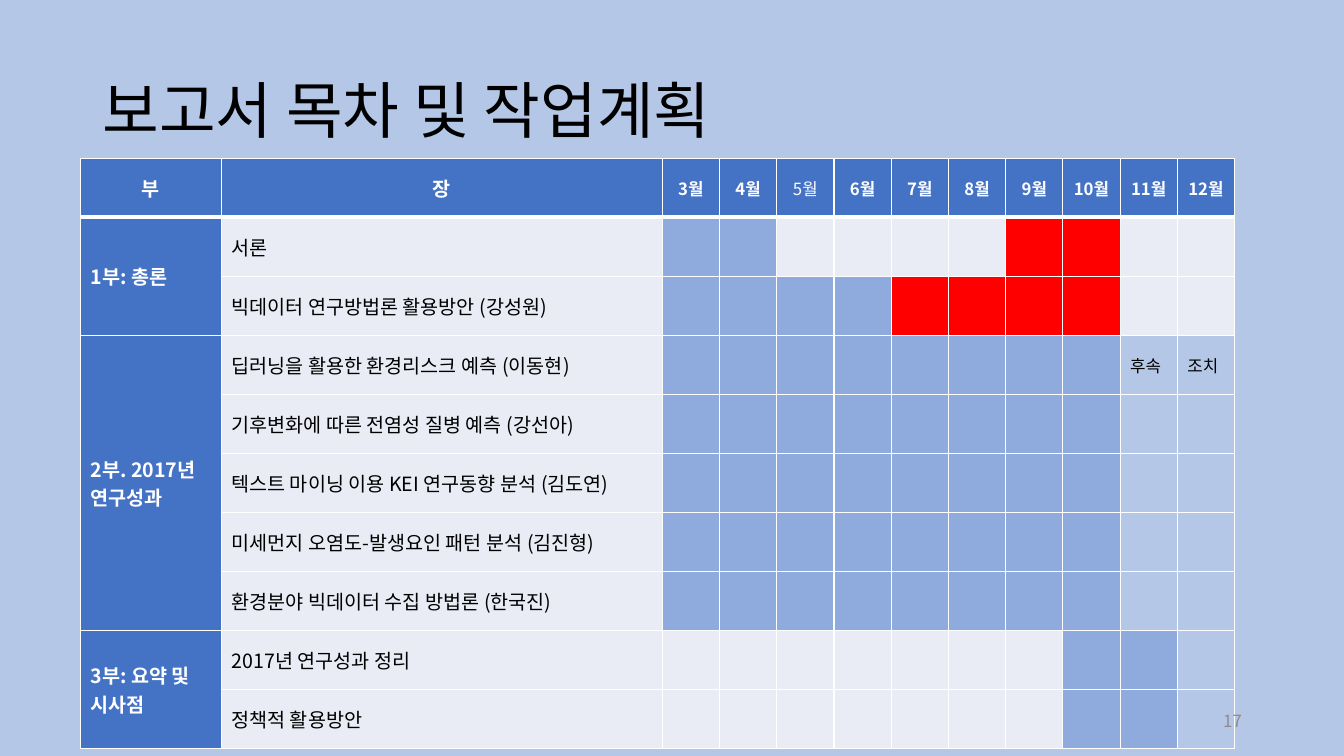
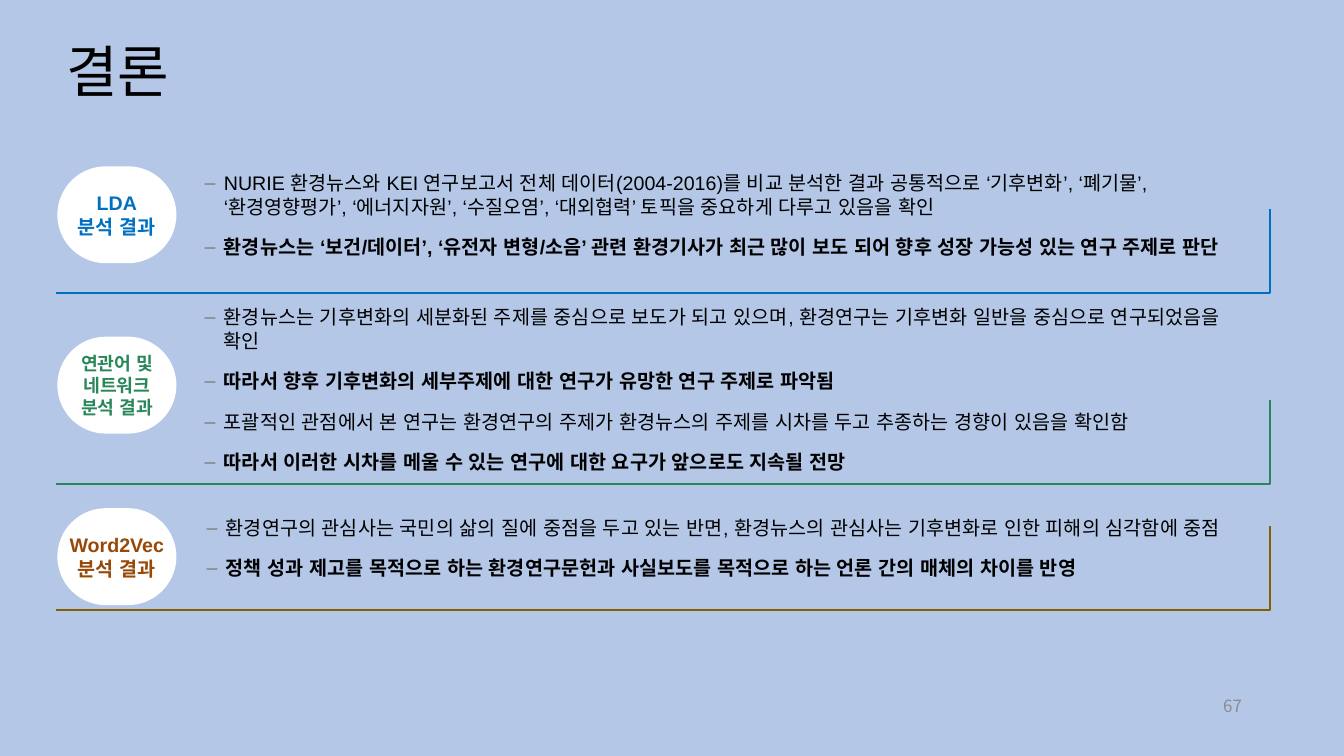
from dataclasses import dataclass

import lxml.etree
import pptx
import pptx.dml.color
import pptx.enum.shapes
import pptx.enum.text
import pptx.oxml.ns
import pptx.util

Pt = pptx.util.Pt
qn = pptx.oxml.ns.qn
ALIGN = pptx.enum.text.PP_ALIGN
ANCHOR = pptx.enum.text.MSO_ANCHOR


@dataclass(frozen=True)
class Theme:
    korean: str = "Noto Sans CJK KR"
    latin: str = "Arial"
    background: str = "B4C7E7"
    ink: str = "000000"
    white: str = "FFFFFF"
    muted: str = "8C8C8C"
    dash: str = "7C7C7C"
    header: str = "4472C4"
    pale: str = "E9EBF5"
    working: str = "8FAADC"
    urgent: str = "FF0000"
    blue: str = "0070C0"
    green: str = "29875A"
    brown: str = "984807"
    olive: str = "806000"
    body_size: float = 14
    tight_size: float = 13
    small_size: float = 12


THEME = Theme()


@dataclass(frozen=True)
class Box:
    left: float
    top: float
    width: float
    height: float

    def lengths(self):
        return [Pt(v) for v in (self.left, self.top, self.width, self.height)]


@dataclass(frozen=True)
class Section:
    label: tuple
    label_size: float
    accent: str
    rule: str
    pill_top: float
    base: float
    list_box: Box
    items: tuple  # (text, bold)


MONTHS = [f"{month}월" for month in range(3, 13)]
# One letter per month: w working, u urgent, f follow-up, - idle
PLAN = [
    ("1부: 총론", [
        ("서론", "ww----uu--"),
        ("빅데이터 연구방법론 활용방안 (강성원)", "wwwwuuuu--"),
    ]),
    ("2부. 2017년 연구성과", [
        ("딥러닝을 활용한 환경리스크 예측 (이동현)", "wwwwwwwwff"),
        ("기후변화에 따른 전염성 질병 예측 (강선아)", "wwwwwwwwff"),
        ("텍스트 마이닝 이용 KEI 연구동향 분석 (김도연)", "wwwwwwwwff"),
        ("미세먼지 오염도-발생요인 패턴 분석 (김진형)", "wwwwwwwwff"),
        ("환경분야 빅데이터 수집 방법론 (한국진)", "wwwwwwwwff"),
    ]),
    ("3부: 요약 및 시사점", [
        ("2017년 연구성과 정리", "-------wwf"),
        ("정책적 활용방안", "-------wwf"),
    ]),
]
STATUS_FILL = {"w": THEME.working, "u": THEME.urgent,
               "f": THEME.background, "-": THEME.pale}
FOLLOW_UP = {(3, 10): "후속", (3, 11): "조치"}

SECTIONS = [
    Section(("LDA", "분석 결과"), THEME.body_size, THEME.blue, THEME.blue,
            118.8, 209.5, Box(139, 118.8, 761, 87), (
        ("NURIE 환경뉴스와 KEI 연구보고서 전체 데이터(2004-2016)를 비교 분석한 결과 "
         "공통적으로 ‘기후변화’, ‘폐기물’, ‘환경영향평가’, ‘에너지자원’, ‘수질오염’, "
         "‘대외협력’ 토픽을 중요하게 다루고 있음을 확인", False),
        ("환경뉴스는 ‘보건/데이터’, ‘유전자 변형/소음’ 관련 환경기사가 최근 많이 보도 되어 "
         "향후 성장 가능성 있는 연구 주제로 판단", True),
    )),
    Section(("연관어 및", "네트워크", "분석 결과"), THEME.tight_size, THEME.green,
            THEME.green, 240.5, 346, Box(139, 214.5, 761, 128), (
        ("환경뉴스는 기후변화의 세분화된 주제를 중심으로 보도가 되고 있으며, "
         "환경연구는 기후변화 일반을 중심으로 연구되었음을 확인", False),
        ("따라서 향후 기후변화의 세부주제에 대한 연구가 유망한 연구 주제로 파악됨", True),
        ("포괄적인 관점에서 본 연구는 환경연구의 주제가 환경뉴스의 주제를 시차를 두고 "
         "추종하는 경향이 있음을 확인함", False),
        ("따라서 이러한 시차를 메울 수 있는 연구에 대한 요구가 앞으로도 지속될 전망", True),
    )),
    Section(("Word2Vec", "분석 결과"), THEME.body_size, THEME.brown, THEME.olive,
            363, 436, Box(140.4, 365, 767.5, 70.5), (
        ("환경연구의 관심사는 국민의 삶의 질에 중점을 두고 있는 반면, "
         "환경뉴스의 관심사는 기후변화로 인한 피해의 심각함에 중점", False),
        ("정책 성과 제고를 목적으로 하는 환경연구문헌과 사실보도를 목적으로 하는 "
         "언론 간의 매체의 차이를 반영", True),
    )),
]


def rgb(color):
    return pptx.dml.color.RGBColor.from_string(color)


def add_span(para, text, size, color=THEME.ink, bold=False, font=THEME.korean):
    span = para.add_run()
    span.text = text
    span.font.size = Pt(size)
    span.font.bold = bold
    span.font.name = font
    span.font.color.rgb = rgb(color)
    lxml.etree.SubElement(span._r.get_or_add_rPr(), qn("a:ea"), typeface=font)


def place(shape, box):
    shape.left, shape.top, shape.width, shape.height = box.lengths()


def prepare_frame(frame, anchor):
    frame.word_wrap = True
    frame.auto_size = pptx.enum.text.MSO_AUTO_SIZE.NONE
    frame.vertical_anchor = anchor


def next_para(frame, index):
    return frame.paragraphs[0] if index == 0 else frame.add_paragraph()


def add_title(page, text, box, size):
    title = page.shapes.title
    place(title, box)
    prepare_frame(title.text_frame, ANCHOR.MIDDLE)
    para = title.text_frame.paragraphs[0]
    para.alignment = ALIGN.LEFT
    para.line_spacing = 0.9
    add_span(para, text, size)


def add_page_number(page, number, top):
    box = page.shapes.add_textbox(*Box(678.2, top, 216, 28.8).lengths())
    prepare_frame(box.text_frame, ANCHOR.MIDDLE)
    para = box.text_frame.paragraphs[0]
    para.alignment = ALIGN.RIGHT
    add_span(para, number, THEME.small_size, THEME.muted)


def style_cell(cell, fill, bottom=1):
    properties = cell._tc.get_or_add_tcPr()
    for side, width in (("L", 1), ("R", 1), ("T", 1), ("B", bottom)):
        line = lxml.etree.SubElement(properties, qn(f"a:ln{side}"), w=str(Pt(width)))
        solid = lxml.etree.SubElement(line, qn("a:solidFill"))
        lxml.etree.SubElement(solid, qn("a:srgbClr"), val=THEME.white)
    cell.fill.solid()
    cell.fill.fore_color.rgb = rgb(fill)
    cell.vertical_anchor = ANCHOR.MIDDLE


def add_schedule(page, box):
    part_width, month_width = 100.5, 40.9
    chapter_width = box.width - part_width - month_width * len(MONTHS)
    widths = [part_width, chapter_width] + [month_width] * len(MONTHS)
    row_count = 1 + sum(len(chapters) for _, chapters in PLAN)
    table = page.shapes.add_table(row_count, len(widths), *box.lengths()).table
    table.horz_banding = False
    for column, width in zip(table.columns, widths):
        column.width = Pt(width)
    for row in table.rows:
        row.height = Pt(box.height / row_count)

    # Header row
    for column, text in enumerate(["부", "장"] + MONTHS):
        cell = table.cell(0, column)
        style_cell(cell, THEME.header, bottom=3)
        para = cell.text_frame.paragraphs[0]
        para.alignment = ALIGN.CENTER
        size = THEME.body_size if column < 2 else THEME.small_size
        add_span(para, text, size, THEME.white, bold=text != "5월")

    # Parts, chapters and their months
    row = 1
    for part, chapters in PLAN:
        first = table.cell(row, 0)
        add_span(first.text_frame.paragraphs[0], part, THEME.body_size,
                 THEME.white, bold=True)
        for offset, (chapter, months) in enumerate(chapters):
            style_cell(table.cell(row + offset, 0), THEME.header)
            cell = table.cell(row + offset, 1)
            style_cell(cell, THEME.pale)
            add_span(cell.text_frame.paragraphs[0], chapter, THEME.body_size)
            for column, status in enumerate(months, start=2):
                style_cell(table.cell(row + offset, column), STATUS_FILL[status])
        first.merge(table.cell(row + len(chapters) - 1, 0))
        row += len(chapters)

    for (row, column), text in FOLLOW_UP.items():
        add_span(table.cell(row, column).text_frame.paragraphs[0], text,
                 THEME.small_size)


def add_pill(page, section, box):
    pill = page.shapes.add_shape(
        pptx.enum.shapes.MSO_SHAPE.ROUNDED_RECTANGLE, *box.lengths())
    pill.adjustments[0] = 0.5
    pill.shadow.inherit = False
    pill.fill.solid()
    pill.fill.fore_color.rgb = rgb(THEME.white)
    pill.line.fill.background()
    frame = pill.text_frame
    prepare_frame(frame, ANCHOR.MIDDLE)
    frame.word_wrap = False
    frame.margin_left = frame.margin_right = 0
    for index, text in enumerate(section.label):
        para = next_para(frame, index)
        para.alignment = ALIGN.CENTER
        add_span(para, text, section.label_size, section.accent, True, THEME.latin)


def add_bracket(page, color, box):
    right, bottom = Pt(box.left + box.width), Pt(box.top + box.height)
    builder = page.shapes.build_freeform(Pt(box.left), bottom)
    builder.add_line_segments([(right, bottom), (right, Pt(box.top))], close=False)
    bracket = builder.convert_to_shape()
    bracket.shadow.inherit = False
    bracket.fill.background()
    bracket.line.color.rgb = rgb(color)
    bracket.line.width = Pt(1.5)


def fill_list(holder, items, box):
    place(holder, box)
    prepare_frame(holder.text_frame, ANCHOR.TOP)
    for index, (text, bold) in enumerate(items):
        para = next_para(holder.text_frame, index)
        properties = para._p.get_or_add_pPr()
        properties.set("marL", str(Pt(13.7)))
        properties.set("indent", str(-Pt(13.7)))
        color = lxml.etree.SubElement(properties, qn("a:buClr"))
        lxml.etree.SubElement(color, qn("a:srgbClr"), val=THEME.dash)
        lxml.etree.SubElement(properties, qn("a:buFont"), typeface=THEME.latin)
        lxml.etree.SubElement(properties, qn("a:buChar"), char="–")
        para.alignment = ALIGN.LEFT
        para.space_before = Pt(6 if index else 0)
        para.space_after = Pt(6)
        add_span(para, text, THEME.body_size, bold=bold, font=THEME.latin)


def build_plan_page(deck):
    page = deck.slides.add_slide(deck.slide_layouts[5])
    add_title(page, "보고서 목차 및 작업계획", Box(66, 28.8, 828, 104.4), 44)
    add_schedule(page, Box(57.6, 113, 824.5, 422))
    add_page_number(page, "17", 500.4)


def build_conclusion_page(deck):
    page = deck.slides.add_slide(deck.slide_layouts[4])
    add_title(page, "결론", Box(40.3, 0.7, 828, 104.4), 40)
    add_page_number(page, "67", 489.6)
    holders = [holder for holder in page.placeholders
               if holder.placeholder_format.idx > 0]
    for section, holder in zip(SECTIONS, holders):
        add_pill(page, section, Box(41, section.pill_top, 85, 69.2))
        add_bracket(page, section.rule, Box(40.3, section.base - 60, 867, 60))
        fill_list(holder, section.items, section.list_box)
    # Unused placeholders of the layout
    for holder in holders[len(SECTIONS):]:
        holder.element.getparent().remove(holder.element)


def main():
    deck = pptx.Presentation()
    deck.slide_width, deck.slide_height = Pt(960), Pt(540)
    backdrop = deck.slide_master.background.fill
    backdrop.solid()
    backdrop.fore_color.rgb = rgb(THEME.background)
    build_plan_page(deck)
    build_conclusion_page(deck)
    deck.save("out.pptx")


if __name__ == "__main__":
    main()
